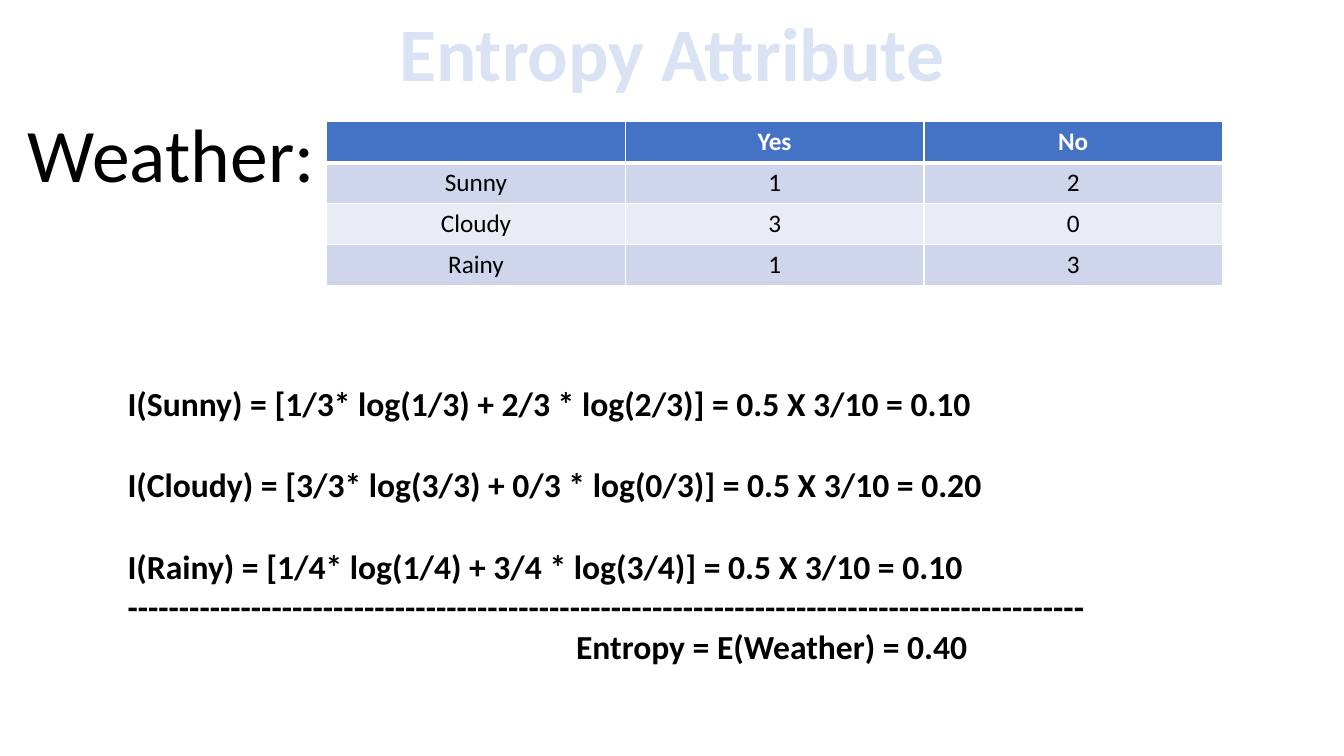
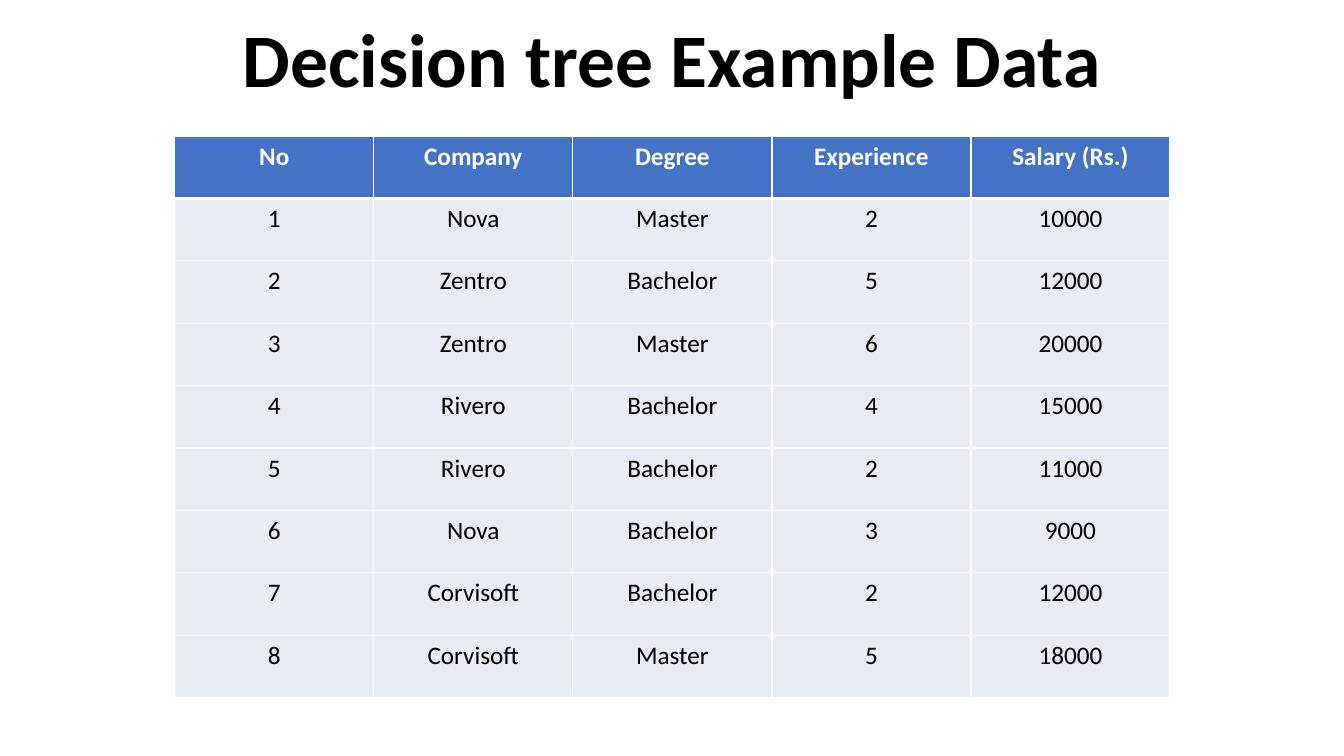
"""Build two slides on decision trees: weather entropy and example salary data."""
import pptx
import pptx.dml.color
import pptx.enum.text
import pptx.oxml
import pptx.oxml.ns
import pptx.util
from lxml import etree

COLORS = {
    "black": "000000",
    "white": "FFFFFF",
    "pale": "DAE3F3",
    "header": "4472C4",
    "dark_band": "CFD5EA",
    "light_band": "E9EBF5",
}
FONT = "Calibri"
COLUMNS = 160
ROWS = 90
ALIGN = pptx.enum.text.PP_ALIGN
ANCHOR = pptx.enum.text.MSO_ANCHOR

deck = pptx.Presentation()
deck.slide_width = pptx.util.Emu(12192000)
deck.slide_height = pptx.util.Emu(6858000)
title_only = deck.slide_layouts[5]


def place(left, top, width, height):
    """Turn grid columns and rows into slide lengths."""
    column, row = deck.slide_width / COLUMNS, deck.slide_height / ROWS
    return [pptx.util.Emu(round(length)) for length in
            (left * column, top * row, width * column, height * row)]


def write(frame, lines, size=18, color="black", bold=False, align=ALIGN.CENTER, gaps=(), wrap=True):
    """Fill a text frame with formatted lines; gaps are the points after each line."""
    frame.word_wrap = wrap
    for number, line in enumerate(lines):
        paragraph = frame.add_paragraph() if number else frame.paragraphs[0]
        paragraph.alignment = align
        if number < len(gaps):
            paragraph.space_after = pptx.util.Pt(gaps[number])
        paragraph.font.size = pptx.util.Pt(size)
        if line:
            run = paragraph.add_run()
            run.text = line
            run.font.name = FONT
            run.font.size = pptx.util.Pt(size)
            run.font.bold = bold
            run.font.color.rgb = pptx.dml.color.RGBColor.from_string(COLORS[color])


weather = [
    ["", "Yes", "No"],
    ["Sunny", "1", "2"],
    ["Cloudy", "3", "0"],
    ["Rainy", "1", "3"],
]
salaries = [
    ["No", "Company", "Degree", "Experience", "Salary (Rs.)"],
    ["1", "Nova", "Master", "2", "10000"],
    ["2", "Zentro", "Bachelor", "5", "12000"],
    ["3", "Zentro", "Master", "6", "20000"],
    ["4", "Rivero", "Bachelor", "4", "15000"],
    ["5", "Rivero", "Bachelor", "2", "11000"],
    ["6", "Nova", "Bachelor", "3", "9000"],
    ["7", "Corvisoft", "Bachelor", "2", "12000"],
    ["8", "Corvisoft", "Master", "5", "18000"],
]
pages = [
    ("Entropy Attribute", "pale", 0, weather, (38.9, 14.5), (35.55, 4.87), ("dark_band", "light_band")),
    ("Decision tree Example Data", "black", 0.8, salaries, (20.8, 16.2), (23.7, 7.43), ("light_band",)),
]

for heading, heading_color, heading_top, records, corner, cell_size, bands in pages:
    slide = deck.slides.add_slide(title_only)
    title = slide.shapes.title
    title.left, title.top, title.width, title.height = place(0, heading_top, COLUMNS, 12.1)
    write(title.text_frame, [heading], size=54, color=heading_color, bold=True)
    title.text_frame.vertical_anchor = ANCHOR.MIDDLE
    title.text_frame.auto_size = pptx.enum.text.MSO_AUTO_SIZE.NONE

    extent = (cell_size[0] * len(records[0]), cell_size[1] * len(records))
    grid = slide.shapes.add_table(len(records), len(records[0]), *place(*corner, *extent)).table
    grid.horz_banding = False
    for row_number, record in enumerate(records):
        is_header = row_number == 0
        for column_number, value in enumerate(record):
            cell = grid.cell(row_number, column_number)
            write(cell.text_frame, [value], bold=is_header, color="white" if is_header else "black")
            properties = cell._tc.get_or_add_tcPr()
            for side in "LRTB":
                thick = (row_number, side) in ((0, "B"), (1, "T"))
                border = etree.SubElement(properties, pptx.oxml.ns.qn(f"a:ln{side}"),
                                          w=str(pptx.util.Pt(3 if thick else 1)))
                paint = etree.SubElement(border, pptx.oxml.ns.qn("a:solidFill"))
                etree.SubElement(paint, pptx.oxml.ns.qn("a:srgbClr"), val=COLORS["white"])
            band = "header" if is_header else bands[(row_number - 1) % len(bands)]
            cell.fill.solid()
            cell.fill.fore_color.rgb = pptx.dml.color.RGBColor.from_string(COLORS[band])

entropy_slide = deck.slides[0]
attribute = entropy_slide.shapes.add_textbox(*place(1.9, 12.1, 37, 12.1))
write(attribute.text_frame, ["Weather:"], size=54, wrap=False)

formulas = entropy_slide.shapes.add_textbox(*place(14, 45, 124, 35.2))
write(formulas.text_frame, [
    "I(Sunny) = [1/3* log(1/3) + 2/3 * log(2/3)] = 0.5 X 3/10 = 0.10",
    "I(Cloudy) = [3/3* log(3/3) + 0/3 * log(0/3)] = 0.5 X 3/10 = 0.20",
    "I(Rainy) = [1/4* log(1/4) + 3/4 * log(3/4)] = 0.5 X 3/10 = 0.10",
    "-" * 93,
    "Entropy = E(Weather) = 0.40",
], size=24, bold=True, align=ALIGN.LEFT, gaps=(29.3, 29.3))
total = formulas.text_frame.paragraphs[-1]
total._p.get_or_add_pPr().set("marL", str(place(53.4, 0, 0, 0)[0]))

deck.save("out.pptx")
